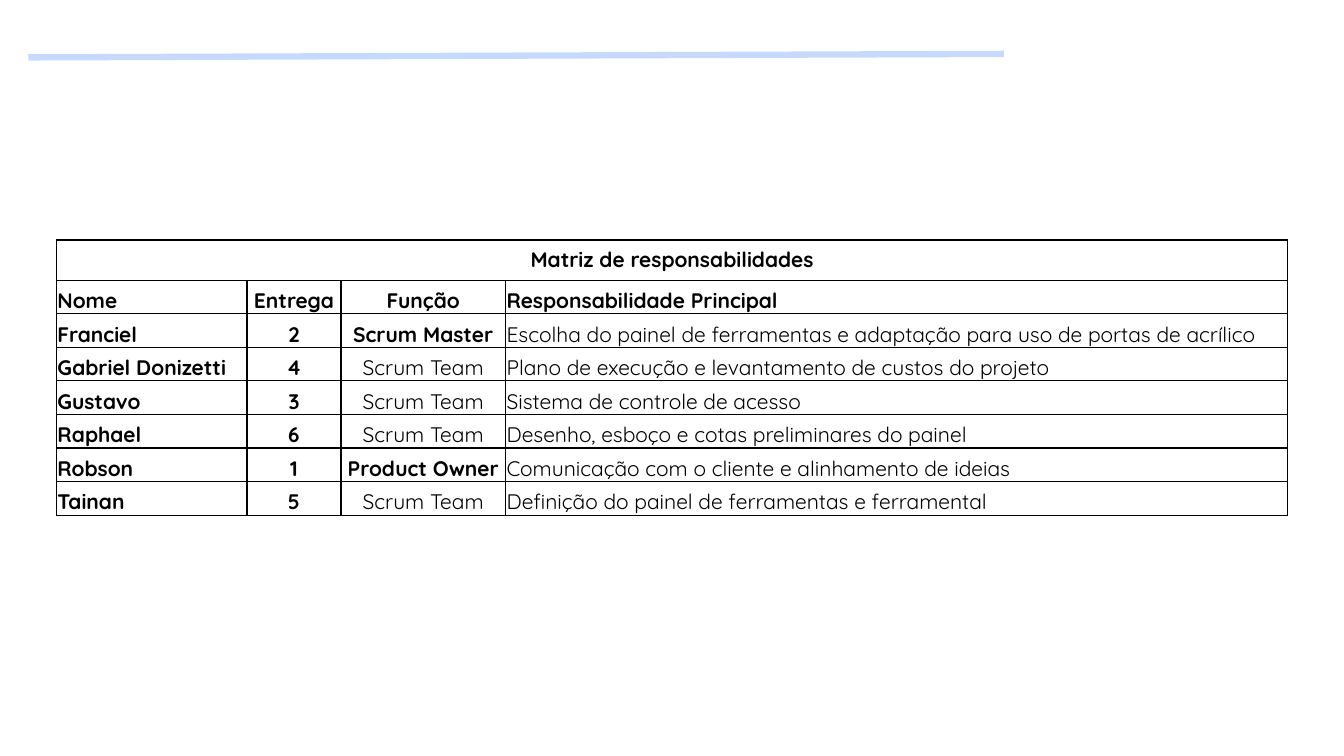
from dataclasses import dataclass

import lxml.etree
import pptx
import pptx.dml.color
import pptx.enum.shapes
import pptx.enum.text
import pptx.oxml.ns
import pptx.slide
import pptx.table
import pptx.util

Pt = pptx.util.Pt
qn = pptx.oxml.ns.qn
Align = pptx.enum.text.PP_ALIGN


@dataclass(frozen=True)
class Theme:
    font: str = "Quicksand"
    text_size: float = 15
    ink: str = "000000"
    accent: str = "93B5FF"
    accent_alpha: int = 50
    accent_width: float = 4.5
    border_width: float = 1


@dataclass(frozen=True)
class Column:
    heading: str
    width: float
    align: Align


@dataclass(frozen=True)
class Member:
    name: str
    delivery: int
    role: str
    duty: str


@dataclass(frozen=True)
class Insets:
    left: float
    top: float
    right: float
    bottom: float


THEME = Theme()
TITLE = "Matriz de responsabilidades"
TABLE_LEFT, TABLE_TOP, ROW_HEIGHT = 40.3, 171.4, 24
TITLE_INSETS = Insets(10, 5, 10, 5)
BODY_INSETS = Insets(0.75, 0.75, 0.75, 0)
PLAIN_ROLE = "Scrum Team"

COLUMNS = [
    Column("Nome", 136.1, Align.LEFT),
    Column("Entrega", 67.2, Align.CENTER),
    Column("Função", 117.5, Align.CENTER),
    Column("Responsabilidade Principal", 558.8, Align.LEFT),
]
MEMBERS = [
    Member("Franciel", 2, "Scrum Master",
           "Escolha do painel de ferramentas e adaptação para uso de portas de acrílico"),
    Member("Gabriel Donizetti", 4, PLAIN_ROLE,
           "Plano de execução e levantamento de custos do projeto"),
    Member("Gustavo", 3, PLAIN_ROLE, "Sistema de controle de acesso"),
    Member("Raphael", 6, PLAIN_ROLE, "Desenho, esboço e cotas preliminares do painel"),
    Member("Robson", 1, "Product Owner",
           "Comunicação com o cliente e alinhamento de ideias"),
    Member("Tainan", 5, PLAIN_ROLE, "Definição do painel de ferramentas e ferramental"),
]


def rgb(value: str) -> pptx.dml.color.RGBColor:
    return pptx.dml.color.RGBColor.from_string(value)


def draw_accent(slide: pptx.slide.Slide) -> None:
    accent = slide.shapes.add_connector(
        pptx.enum.shapes.MSO_CONNECTOR.STRAIGHT, Pt(20.2), Pt(41), Pt(717.1), Pt(38.5))
    accent.line.width = Pt(THEME.accent_width)
    accent.line.color.rgb = rgb(THEME.accent)
    properties = accent.element.spPr
    color = properties.find(".//" + qn("a:srgbClr"))
    lxml.etree.SubElement(color, qn("a:alpha"), val=str(THEME.accent_alpha * 1000))
    lxml.etree.SubElement(properties, qn("a:effectLst"))


def frame_cell(cell: pptx.table._Cell) -> None:
    properties = cell._tc.get_or_add_tcPr()
    for side in ("lnL", "lnR", "lnT", "lnB"):
        border = lxml.etree.SubElement(
            properties, qn(f"a:{side}"), w=str(int(Pt(THEME.border_width))))
        fill = lxml.etree.SubElement(border, qn("a:solidFill"))
        lxml.etree.SubElement(fill, qn("a:srgbClr"), val=THEME.ink)
    cell.fill.background()


def write_cell(cell: pptx.table._Cell, text: str, align: Align, bold: bool,
               insets: Insets = BODY_INSETS) -> None:
    cell.margin_left, cell.margin_top = Pt(insets.left), Pt(insets.top)
    cell.margin_right, cell.margin_bottom = Pt(insets.right), Pt(insets.bottom)
    cell.vertical_anchor = pptx.enum.text.MSO_ANCHOR.BOTTOM
    paragraph = cell.text_frame.paragraphs[0]
    paragraph.alignment = align
    run = paragraph.add_run()
    run.text = text
    run.font.name = THEME.font
    run.font.size = Pt(THEME.text_size)
    run.font.bold = bold
    run.font.color.rgb = rgb(THEME.ink)


def draw_matrix(slide: pptx.slide.Slide) -> None:
    row_count = len(MEMBERS) + 2
    matrix = slide.shapes.add_table(
        row_count, len(COLUMNS), Pt(TABLE_LEFT), Pt(TABLE_TOP),
        Pt(sum(column.width for column in COLUMNS)), Pt(ROW_HEIGHT * row_count)).table
    matrix.first_row = False
    matrix.horz_banding = False
    for row in matrix.rows:
        row.height = Pt(ROW_HEIGHT)
    for cell in matrix.iter_cells():
        frame_cell(cell)

    # Title row across all columns
    matrix.cell(0, 0).merge(matrix.cell(0, len(COLUMNS) - 1))
    write_cell(matrix.cell(0, 0), TITLE, Align.CENTER, True, TITLE_INSETS)

    # Column headings
    for index, column in enumerate(COLUMNS):
        matrix.columns[index].width = Pt(column.width)
        write_cell(matrix.cell(1, index), column.heading, column.align, True)

    # One row per team member
    for row_index, member in enumerate(MEMBERS, start=2):
        entries = [(member.name, True), (str(member.delivery), True),
                   (member.role, member.role != PLAIN_ROLE), (member.duty, False)]
        for index, (text, bold) in enumerate(entries):
            write_cell(matrix.cell(row_index, index), text, COLUMNS[index].align, bold)


def main() -> None:
    deck = pptx.Presentation()
    deck.slide_width, deck.slide_height = Pt(960), Pt(540)
    slide = deck.slides.add_slide(deck.slide_layouts[6])
    draw_accent(slide)
    draw_matrix(slide)
    deck.save("out.pptx")


if __name__ == "__main__":
    main()
